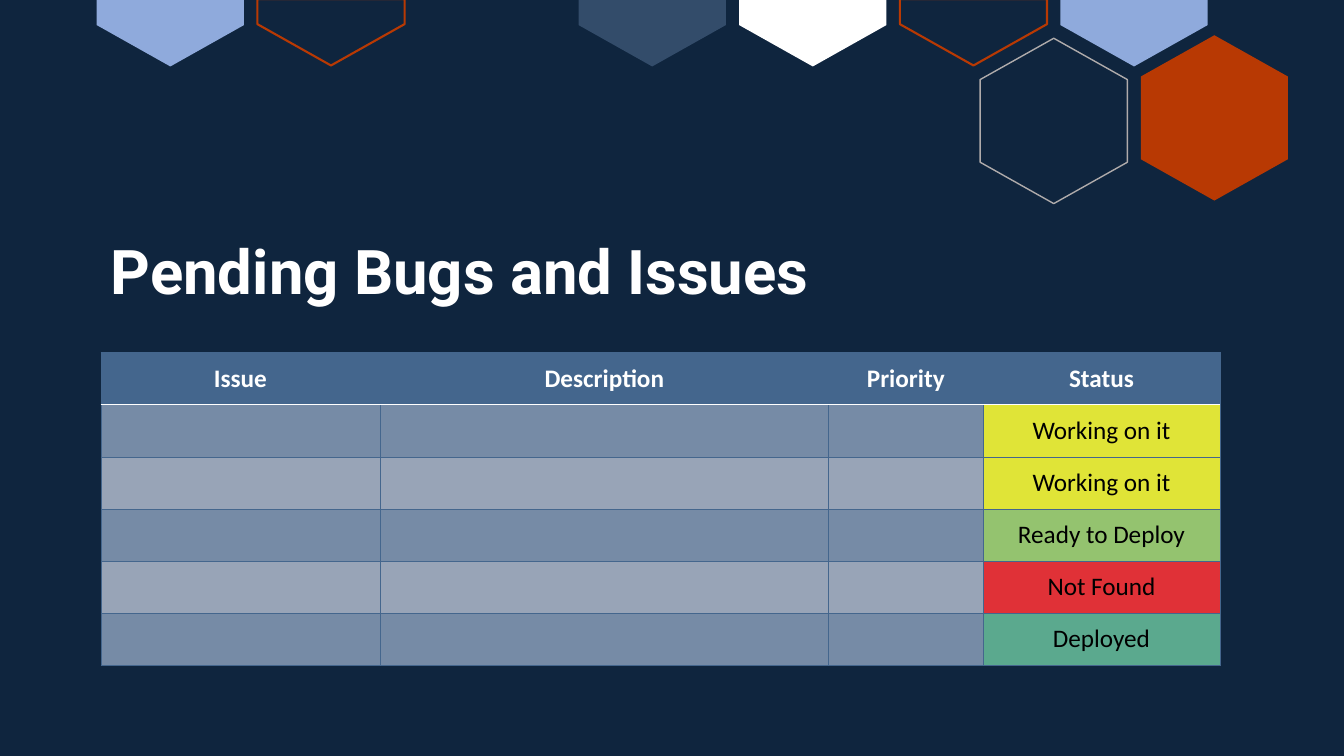
from dataclasses import dataclass
from lxml import etree
from pptx import Presentation
from pptx import util as u
from pptx.dml import color
from pptx.enum import text
from pptx.oxml import ns

WIDE, HIGH = u.Inches(13.33), u.Inches(7.5)
PITCH, SIDE, SLOPE = 1.593, 1.46, 0.41


@dataclass(frozen=True)
class Theme:
    back: str = "0F253E"
    white: str = "FFFFFF"
    black: str = "000000"
    slate: str = "334C6A"
    sky: str = "8FAADC"
    rust: str = "B83903"
    gray: str = "AFABAB"
    steel: str = "44668D"
    dark: str = "768BA6"
    light: str = "98A4B7"
    yellow: str = "E0E437"
    lime: str = "94C36F"
    red: str = "E03137"
    green: str = "5BA98E"
    head: str = "Roboto"
    body: str = "Calibri"
    title: int = 44
    cell: int = 18


T = Theme()


def rgb(tone):
    return color.RGBColor.from_string(tone)


def paint(item, tone):
    item.fill.solid()
    item.fill.fore_color.rgb = rgb(tone)


def style(para, font, size, tone, bold):
    for run in para.runs:
        run.font.name = font
        run.font.size = u.Pt(size)
        run.font.bold = bold
        run.font.color.rgb = rgb(tone)


def hexa(slide, col, top, wall, fill=None, line=None, width=1, peak=True):
    left = 0.96 + col * PITCH
    mid, right = left + SIDE / 2, left + SIDE
    start = top + SLOPE if peak else top
    end = start + wall
    dots = [(left, start), (right, start), (right, end), (mid, end + SLOPE), (left, end)]
    if peak:
        dots.insert(1, (mid, top))
    dots = [(u.Inches(x), u.Inches(y)) for x, y in dots]
    pen = slide.shapes.build_freeform(*dots[0])
    pen.add_line_segments(dots[1:], close=True)
    shape = pen.convert_to_shape()
    shape.shadow.inherit = False
    if fill:
        paint(shape, fill)
    else:
        shape.fill.background()
    if line:
        shape.line.color.rgb = rgb(line)
        shape.line.width = u.Pt(width)
    else:
        shape.line.fill.background()


def title(slide, words):
    box = slide.shapes.add_textbox(u.Inches(1), u.Inches(0.8), u.Inches(8.39), u.Inches(2.3))
    frame = box.text_frame
    frame.word_wrap = True
    frame.vertical_anchor = text.MSO_ANCHOR.BOTTOM
    frame.text = words
    para = frame.paragraphs[0]
    para.line_spacing = 0.9
    style(para, T.head, T.title, T.white, True)


def edge(cell, side, tone, width):
    props = cell._tc.get_or_add_tcPr()
    line = etree.SubElement(props, ns.qn("a:ln" + side), w=str(u.Pt(width)))
    solid = etree.SubElement(line, ns.qn("a:solidFill"))
    etree.SubElement(solid, ns.qn("a:srgbClr"), val=tone)


def fill_cell(cell, words, back, tone, rims, bold=False):
    for side, rim in zip("LRTB", rims):
        edge(cell, side, *rim)
    paint(cell, back)
    cell.vertical_anchor = text.MSO_ANCHOR.MIDDLE
    cell.text_frame.text = words
    para = cell.text_frame.paragraphs[0]
    para.alignment = text.PP_ALIGN.CENTER
    para.font.size = u.Pt(T.cell)
    style(para, T.body, T.cell, tone, bold)


def grid(slide, heads, states, spans):
    rows = len(states) + 1
    frame = slide.shapes.add_table(rows, len(heads), u.Inches(1), u.Inches(3.5),
                                   u.Inches(sum(spans)), u.Inches(3.1))
    table = frame.table
    table.horz_banding = False
    for col, span in zip(table.columns, spans):
        col.width = u.Inches(span)
    thin, rule = (T.steel, 0.5), (T.white, 1)
    for col, head in enumerate(heads):
        fill_cell(table.cell(0, col), head, T.steel, T.white, [thin, thin, thin, rule], True)
    for row, (state, tone) in enumerate(states, 1):
        rims = [thin, thin, rule if row == 1 else thin, thin]
        band = T.dark if row % 2 else T.light
        for col in range(len(heads) - 1):
            fill_cell(table.cell(row, col), "", band, T.black, rims)
        fill_cell(table.cell(row, len(heads) - 1), state, tone, T.black, rims)


def main():
    deck = Presentation()
    deck.slide_width, deck.slide_height = WIDE, HIGH
    slide = deck.slides.add_slide(deck.slide_layouts[6])
    paint(slide.background, T.back)
    hexa(slide, 5.5, 0.38, 0.82, line=T.gray)
    for col, tone in ((3, T.slate), (4, T.white), (0, T.sky), (6, T.sky)):
        hexa(slide, col, 0, 0.25, fill=tone, peak=False)
    for col in (1, 5):
        hexa(slide, col, -0.01, 0.25, line=T.rust, width=1.5, peak=False)
    hexa(slide, 6.5, 0.35, 0.82, fill=T.rust)
    title(slide, "Pending Bugs and Issues")
    states = [("Working on it", T.yellow), ("Working on it", T.yellow),
              ("Ready to Deploy", T.lime), ("Not Found", T.red), ("Deployed", T.green)]
    grid(slide, ["Issue", "Description", "Priority", "Status"], states, [2.77, 4.45, 1.53, 2.35])
    deck.save("out.pptx")


if __name__ == "__main__":
    main()
